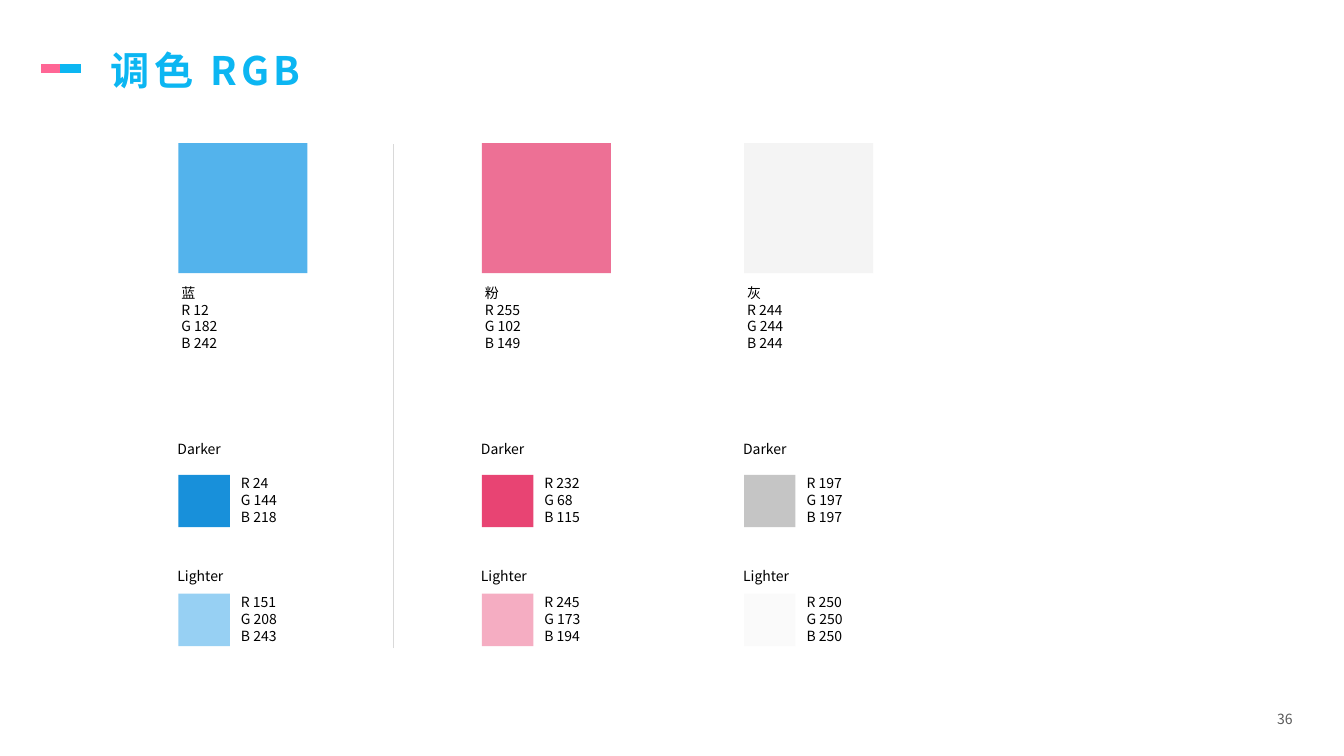
from dataclasses import dataclass

from lxml import etree
from pptx import Presentation
from pptx.dml.color import RGBColor
from pptx.enum.shapes import MSO_CONNECTOR, MSO_SHAPE
from pptx.enum.text import MSO_ANCHOR, MSO_AUTO_SIZE, PP_ALIGN
from pptx.oxml.ns import qn
from pptx.util import Inches, Pt

LINE = MSO_CONNECTOR.STRAIGHT
RECT = MSO_SHAPE.RECTANGLE
MIDDLE, TOP = MSO_ANCHOR.MIDDLE, MSO_ANCHOR.TOP
LEFT, RIGHT = PP_ALIGN.LEFT, PP_ALIGN.RIGHT
GROW, FIXED = MSO_AUTO_SIZE.SHAPE_TO_FIT_TEXT, MSO_AUTO_SIZE.NONE


@dataclass(frozen=True)
class Theme:
    font: str = "Noto Sans CJK SC"
    blue: str = "0CB6F2"
    pink: str = "FF6695"
    ink: str = "000000"
    muted: str = "595959"
    rule: str = "D9D9D9"
    head: int = 28
    body: int = 10


class Deck:
    """Draws styled elements on the current slide."""

    def __init__(self, prs, theme):
        self.theme = theme
        self.slide = prs.slides.add_slide(prs.slide_layouts[6])

    def text(self, box, lines, color, size=None, bold=False, track=0,
             align=LEFT, anchor=TOP, inset=(0, 0), wrap=True, fit=GROW):
        shape = self.slide.shapes.add_textbox(*map(Inches, box))
        frame = shape.text_frame
        frame.word_wrap = wrap
        frame.auto_size = fit
        frame.vertical_anchor = anchor
        frame.margin_left = frame.margin_right = Inches(inset[0])
        frame.margin_top = frame.margin_bottom = Inches(inset[1])
        for i, line in enumerate(lines):
            para = frame.add_paragraph() if i else frame.paragraphs[0]
            para.alignment = align
            run = para.add_run()
            run.text = line
            font = run.font
            font.name = self.theme.font
            font.size = Pt(size or self.theme.body)
            font.bold = bold
            font.color.rgb = RGBColor.from_string(color)
            props = run._r.get_or_add_rPr()
            etree.SubElement(props, qn("a:ea"), typeface=self.theme.font)
            if track:
                props.set("spc", str(track * 100))

    def label(self, x, y, lines, width=0.39, wrap=False):
        box = (x, y, width, round(len(lines) / 6, 2))
        self.text(box, lines, self.theme.ink, wrap=wrap)

    def swatch(self, x, y, width, height, color):
        shape = self.slide.shapes.add_shape(
            RECT, *map(Inches, (x, y, width, height)))
        shape.shadow.inherit = False
        shape.fill.solid()
        shape.fill.fore_color.rgb = color
        shape.line.fill.background()

    def line(self, x1, y1, x2, y2, color, width):
        link = self.slide.shapes.add_connector(
            LINE, *map(Inches, (x1, y1, x2, y2)))
        link.line.color.rgb = RGBColor.from_string(color)
        link.line.width = Pt(width)
        etree.SubElement(link._element.spPr, qn("a:effectLst"))


def values(rgb):
    return [f"{name} {value}" for name, value in zip("RGB", rgb)]


def main():
    prs = Presentation()
    prs.slide_width, prs.slide_height = Inches(13.33), Inches(7.5)
    theme = Theme()
    deck = Deck(prs, theme)

    deck.text((10.78, 7.02, 2.14, 0.22), ["36"], theme.muted, align=RIGHT,
              anchor=MIDDLE, inset=(0.1, 0.05), fit=FIXED)
    deck.line(0.41, 0.68, 0.6, 0.68, theme.pink, 6)
    deck.line(0.6, 0.68, 0.8, 0.68, theme.blue, 6)
    deck.text((1, 0.3, 10.44, 0.79), ["调色 RGB"], theme.blue, theme.head,
              bold=True, track=3, anchor=MIDDLE, inset=(0.1, 0.05), fit=FIXED)

    hues = [
        (1.77, "蓝", "53B3EC", (12, 182, 242), (24, 144, 218), (151, 208, 243)),
        (4.78, "粉", "ED7095", (255, 102, 149), (232, 68, 115), (245, 173, 194)),
        (7.38, "灰", "F4F4F4", (244, 244, 244), (197, 197, 197), (250, 250, 250)),
    ]
    for x, name, fill, base, dark, light in hues:
        deck.swatch(x, 1.42, 1.28, 1.29, RGBColor.from_string(fill))
        deck.label(x + 0.03, 2.82, [name, *values(base)])
        tints = [("Darker", 4.37, 4.71, dark), ("Lighter", 5.63, 5.89, light)]
        for tint, top, y, rgb in tints:
            deck.label(x - 0.01, top, [tint], 0.85, True)
            deck.swatch(x, y, 0.51, 0.52, RGBColor(*rgb))
            deck.label(x + 0.62, y, values(rgb))

    deck.line(3.9, 6.43, 3.9, 1.43, theme.rule, 0.5)
    prs.save("out.pptx")


if __name__ == "__main__":
    main()
